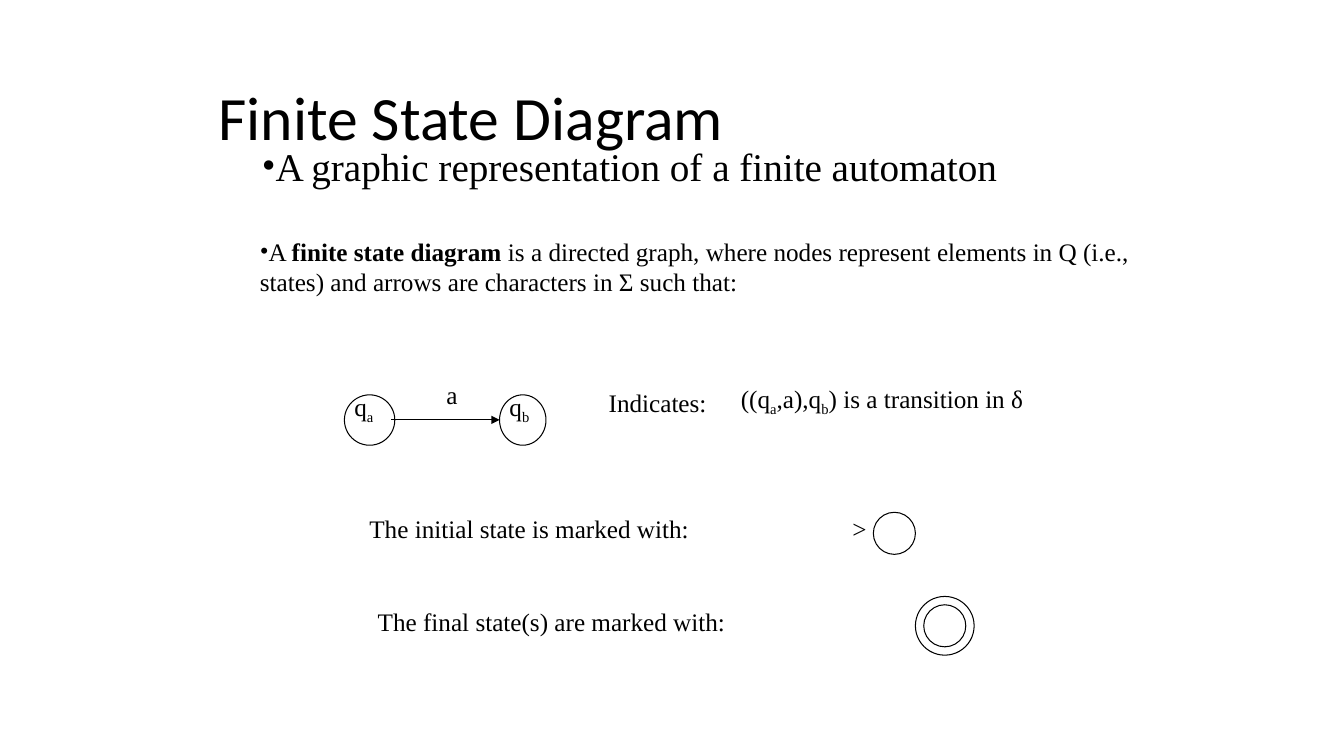
from lxml.etree import SubElement
from pptx import Presentation
from pptx.dml.color import RGBColor
from pptx.enum.shapes import MSO_CONNECTOR, MSO_SHAPE
from pptx.enum.text import MSO_ANCHOR, MSO_AUTO_SIZE
from pptx.oxml.ns import qn
from pptx.util import Cm, Pt

BLACK = "000000"
SERIF = "Times New Roman"


def color(value):
    return RGBColor.from_string(value)


def add_text(place, runs, size=18, font=SERIF, wrap=False, bullet=False):
    box = slide.shapes.add_textbox(*[Cm(length) for length in place])
    frame = box.text_frame
    frame.word_wrap = wrap
    frame.auto_size = MSO_AUTO_SIZE.SHAPE_TO_FIT_TEXT
    para = frame.paragraphs[0]
    if bullet:
        properties = para._p.get_or_add_pPr()
        SubElement(properties, qn("a:buFont"), typeface=font)
        SubElement(properties, qn("a:buChar"), char="•")
    for text, style in runs:
        span = para.add_run()
        span.text = text
        formats = {"name": font, "size": Pt(size), "bold": style == "bold"}
        for key, value in formats.items():
            setattr(span.font, key, value)
        span.font.color.rgb = color(BLACK)
        if style == "sub":
            span._r.get_or_add_rPr().set("baseline", "-25000")
    return frame


deck = Presentation()
deck.slide_width, deck.slide_height = Cm(33.87), Cm(19.05)
slide = deck.slides.add_slide(deck.slide_layouts[6])

title = add_text((5.26, 1.19, 24.28, 3.68), [("Finite State Diagram", "")],
                 size=44, font="Calibri", wrap=True)
title.auto_size = MSO_AUTO_SIZE.NONE
title.vertical_anchor = MSO_ANCHOR.MIDDLE
title.paragraphs[0].line_spacing = 0.9

add_text((6.35, 3.45, 19.1, 1.45),
         [("A graphic representation of a finite automaton", "")],
         size=28, bullet=True)
definition = [
    ("A ", ""),
    ("finite state diagram", "bold"),
    (" is a directed graph, where nodes represent elements in Q "
     "(i.e., states) and arrows are characters in Σ such that:", ""),
]
add_text((6.3, 5.83, 22.48, 1.8), definition, wrap=True, bullet=True)

labels = [
    (8.68, 9.73, 1.02, [("q", ""), ("a", "sub")]),
    (12.59, 9.73, 1.04, [("q", ""), ("b", "sub")]),
    (11, 9.43, 0.79, [("a", "")]),
    (15.09, 9.64, 3.18, [("Indicates:", "")]),
    (18.42, 9.53, 7.65, [("((q", ""), ("a", "sub"), (",a),q", ""),
                         ("b", "sub"), (") is a transition in δ", "")]),
    (9.06, 12.82, 8.66, [("The initial state is marked with:", "")]),
    (21.23, 12.82, 0.86, [(">", "")]),
    (9.27, 15.16, 9.37, [("The final state(s) are marked with:", "")]),
]
for left, top, width, runs in labels:
    add_text((left, top, width, 1.02), runs)

states = [
    (8.68, 9.95, 1.27, 1.27),
    (12.59, 9.95, 1.17, 1.27),
    (22.01, 12.91, 1.06, 1.06),
    (23.28, 15.24, 1.06, 1.06),
    (23.07, 15.03, 1.48, 1.48),
]
for place in states:
    state = slide.shapes.add_shape(MSO_SHAPE.OVAL, *[Cm(length) for length in place])
    state.shadow.inherit = False
    state.fill.background()
    state.line.color.rgb = color(BLACK)
    state.line.width = Pt(0.75)

arrow = slide.shapes.add_connector(
    MSO_CONNECTOR.STRAIGHT, Cm(9.86), Cm(10.58), Cm(12.59), Cm(10.58))
arrow.line.color.rgb = color(BLACK)
arrow.line.width = Pt(0.75)
SubElement(arrow.line._get_or_add_ln(), qn("a:tailEnd"), type="triangle")
SubElement(arrow._element.spPr, qn("a:effectLst"))

deck.save("out.pptx")
